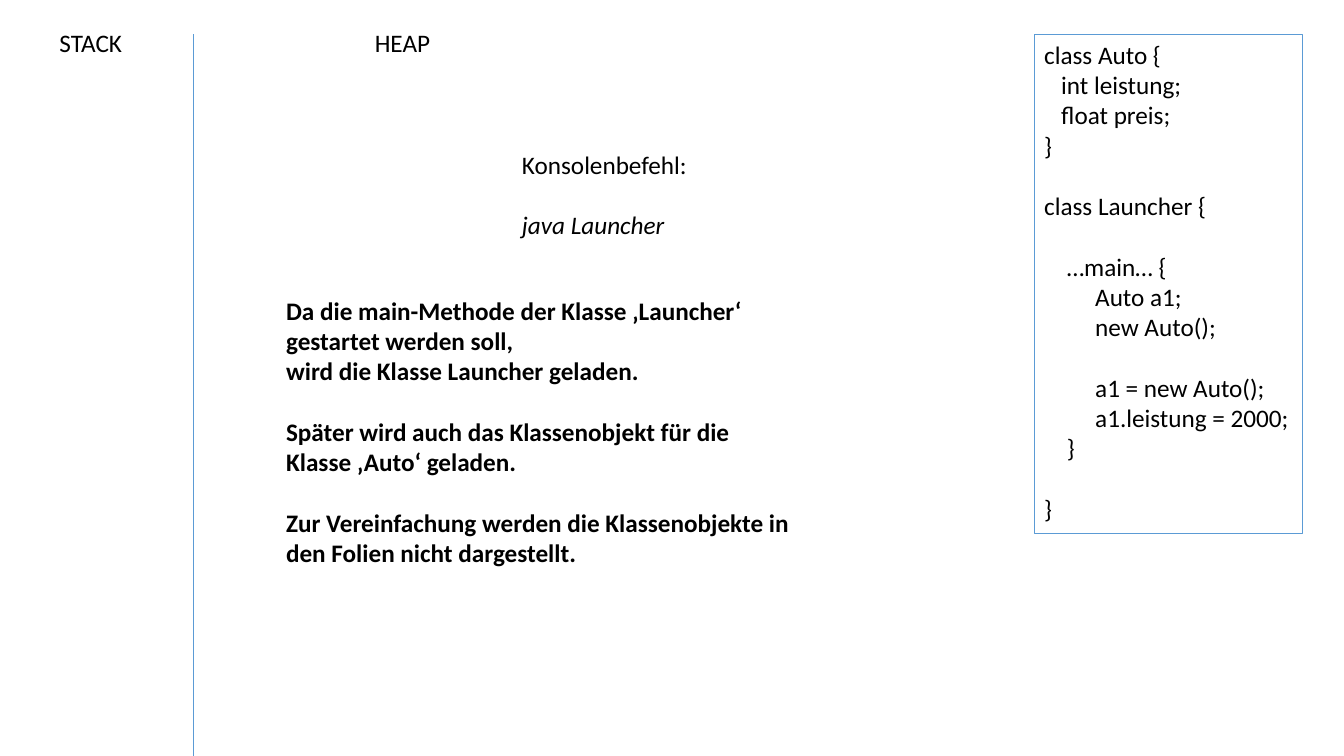
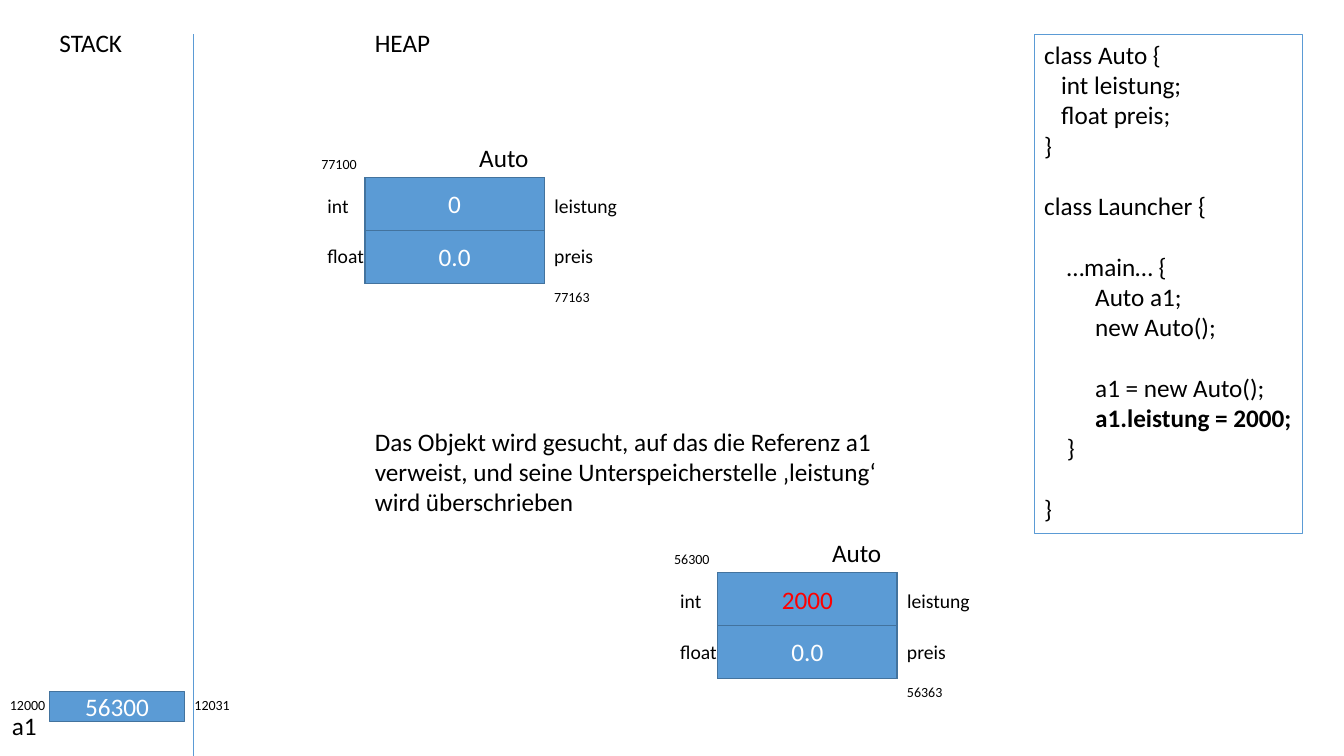
from dataclasses import dataclass, replace

import pptx
import pptx.dml.color
import pptx.enum.shapes
import pptx.enum.text
import pptx.oxml.ns
import pptx.util
from lxml import etree

# Shared style; positions and lengths are percentages of the slide's size
SLIDE_WIDTH = pptx.util.Inches(13.33)
SLIDE_HEIGHT = pptx.util.Inches(7.5)
FONT = "Calibri"
BLACK, WHITE, RED = "000000", "FFFFFF", "FF0000"
BLUE, DARK_BLUE = "5B9BD5", "43739E"
BODY, LABEL, ADDRESS = 18, 14, 10
EMPTY_LINE = pptx.util.Pt(21.6)
INDENT_STEP = pptx.util.Pt(4.05)

LABEL_ROW, ADDRESS_ROW, BODY_ROW = 4.53, 3.6, 5.33
ADDRESS_WIDTH = 4.2
HEAP_LEFT, TOP = 27.15, 4.53
FIELD_WIDTH, FIELD_HEIGHT = 13.35, 7


@dataclass(frozen=True)
class Area:
    left: float
    top: float
    width: float
    height: float

    def emu(self) -> tuple[int, int, int, int]:
        return (across(self.left), down(self.top),
                across(self.width), down(self.height))


@dataclass(frozen=True)
class Line:
    text: str
    indent: int = 0
    gap: bool = False
    bold: bool = False
    italic: bool = False


@dataclass(frozen=True)
class Field:
    kind: str
    name: str
    value: str
    kind_width: float
    name_width: float
    color: str = WHITE


@dataclass(frozen=True)
class HeapObject:
    left: float
    top: float
    first_address: str
    last_address: str
    fields: tuple[Field, ...]


def across(share: float) -> int:
    return round(SLIDE_WIDTH * share / 100)


def down(share: float) -> int:
    return round(SLIDE_HEIGHT * share / 100)


def rgb(color: str) -> pptx.dml.color.RGBColor:
    return pptx.dml.color.RGBColor.from_string(color)


# Drawing functions
def write(frame, lines: list[Line], size: float, color: str = BLACK) -> None:
    frame.text = "\n".join(line.text for line in lines)
    for paragraph, line in zip(frame.paragraphs, lines):
        paragraph.alignment = pptx.enum.text.PP_ALIGN.LEFT
        if line.gap:
            paragraph.space_before = EMPTY_LINE
        if line.indent:
            properties = paragraph._p.get_or_add_pPr()
            properties.set("marL", str(round(line.indent * INDENT_STEP)))
        for run in paragraph.runs:
            run.font.name = FONT
            run.font.size = pptx.util.Pt(size)
            run.font.bold = line.bold
            run.font.italic = line.italic
            run.font.color.rgb = rgb(color)


def fit_to_text(frame) -> None:
    frame.word_wrap = False
    frame.auto_size = pptx.enum.text.MSO_AUTO_SIZE.SHAPE_TO_FIT_TEXT


def add_text(slide, area: Area, lines: list[Line], size: float = BODY) -> None:
    frame = slide.shapes.add_textbox(*area.emu()).text_frame
    write(frame, lines, size)
    fit_to_text(frame)


def add_box(slide, area: Area, border: str, border_width: float,
            fill: str | None = None):
    box = slide.shapes.add_shape(
        pptx.enum.shapes.MSO_SHAPE.RECTANGLE, *area.emu())
    box.shadow.inherit = False
    box.line.color.rgb = rgb(border)
    box.line.width = pptx.util.Pt(border_width)
    if fill:
        box.fill.solid()
        box.fill.fore_color.rgb = rgb(fill)
    else:
        box.fill.background()
    return box


def add_cell(slide, area: Area, value: str = "", color: str = WHITE) -> None:
    frame = add_box(slide, area, DARK_BLUE, 1, BLUE).text_frame
    if value:
        write(frame, [Line(value)], BODY, color)
        frame.paragraphs[0].alignment = pptx.enum.text.PP_ALIGN.CENTER
        frame.vertical_anchor = pptx.enum.text.MSO_ANCHOR.MIDDLE


def add_address(slide, left: float, top: float, address: str) -> None:
    add_text(slide, Area(left, top, ADDRESS_WIDTH, ADDRESS_ROW),
             [Line(address)], ADDRESS)


def add_heap_object(slide, item: HeapObject) -> None:
    left, top = item.left, item.top
    right = left + FIELD_WIDTH
    height = FIELD_HEIGHT * len(item.fields)
    add_cell(slide, Area(left, top, FIELD_WIDTH, height))
    add_address(slide, left - 3.98, top - ADDRESS_ROW, item.first_address)
    for row, field in enumerate(item.fields):
        field_top = top + row * FIELD_HEIGHT
        label_top = top + 1.47 + row * 6.73
        add_cell(slide, Area(left, field_top, FIELD_WIDTH, FIELD_HEIGHT),
                 field.value, field.color)
        add_text(slide, Area(right, label_top, field.name_width, LABEL_ROW),
                 [Line(field.name)], LABEL)
        add_text(slide,
                 Area(left - 3.53, label_top, field.kind_width, LABEL_ROW),
                 [Line(field.kind)], LABEL)
    add_address(slide, right, top + height, item.last_address)
    add_text(slide, Area(left + 7.77, top - BODY_ROW, 5.25, BODY_ROW),
             [Line("Auto")])


# Source code shown on both slides
CODE = [
    Line("class Auto {"),
    Line("int leistung;", 3),
    Line("float preis;", 3),
    Line("}"),
    Line("class Launcher {", gap=True),
    Line("…main… {", 4, gap=True),
    Line("Auto a1;", 9),
    Line("new Auto();", 9),
    Line("a1 = new Auto();", 9, gap=True),
    Line("a1.leistung = 2000;", 9),
    Line("}", 4),
    Line("}", gap=True),
]


def add_memory_slide(deck, current_statement: str = ""):
    slide = deck.slides.add_slide(deck.slide_layouts[6])
    code_frame = add_box(
        slide, Area(76.95, TOP, 19.95, 66), BLUE, 0.75).text_frame
    write(code_frame, [replace(line, bold=line.text == current_statement)
                       for line in CODE], BODY)
    code_frame.vertical_anchor = pptx.enum.text.MSO_ANCHOR.TOP
    code_frame.margin_right = across(0.3)
    fit_to_text(code_frame)

    divider = slide.shapes.add_connector(
        pptx.enum.shapes.MSO_CONNECTOR.STRAIGHT,
        across(14.4), down(TOP), across(14.4), down(100))
    divider.line.color.rgb = rgb(BLUE)
    divider.line.width = pptx.util.Pt(0.5)
    etree.SubElement(divider._element.spPr, pptx.oxml.ns.qn("a:effectLst"))

    add_text(slide, Area(3.68, 2.93, 6.23, BODY_ROW), [Line("STACK")])
    add_text(slide, Area(HEAP_LEFT, 2.93, 5.63, BODY_ROW), [Line("HEAP")])
    return slide


deck = pptx.Presentation()
deck.slide_width = SLIDE_WIDTH
deck.slide_height = SLIDE_HEIGHT

# Slide 1: the class is loaded
loading = add_memory_slide(deck)
add_text(loading, Area(38.1, 19.07, 13.95, 13.47), [
    Line("Konsolenbefehl:"),
    Line("java Launcher", gap=True, italic=True),
])
add_text(loading, Area(20.55, 38.4, 39.08, 37.73), [
    Line("Da die main-Methode der Klasse ‚Launcher‘", bold=True),
    Line("gestartet werden soll,", bold=True),
    Line("wird die Klasse Launcher geladen.", bold=True),
    Line("Später wird auch das Klassenobjekt für die", gap=True, bold=True),
    Line("Klasse ‚Auto‘ geladen.", bold=True),
    Line("Zur Vereinfachung werden die Klassenobjekte in", gap=True, bold=True),
    Line("den Folien nicht dargestellt.", bold=True),
])

# Slide 2: the field is overwritten
overwriting = add_memory_slide(deck, "a1.leistung = 2000;")
REFERENCE_TOP = 91.47
add_cell(overwriting, Area(3.68, REFERENCE_TOP, 10.05, 4), "56300")
add_text(overwriting, Area(0.15, 93.33, 3.38, BODY_ROW), [Line("a1")])
add_address(overwriting, 0, REFERENCE_TOP, "12000")
add_address(overwriting, 13.73, REFERENCE_TOP, "12031")

power = Field("int", "leistung", "0", 3.15, 6.23)
price = Field("float", "preis", "0.0", 4.28, 4.43)
new_power = replace(power, value="2000", color=RED)
add_heap_object(overwriting, HeapObject(
    HEAP_LEFT, 23.47, "77100", "77163", (power, price)))
add_text(overwriting, Area(HEAP_LEFT, 55.73, 39.23, 13.47), [
    Line("Das Objekt wird gesucht, auf das die Referenz a1"),
    Line("verweist, und seine Unterspeicherstelle ‚leistung‘"),
    Line("wird überschrieben"),
])
add_heap_object(overwriting, HeapObject(
    53.4, 75.73, "56300", "56363", (new_power, price)))

deck.save("out.pptx")
